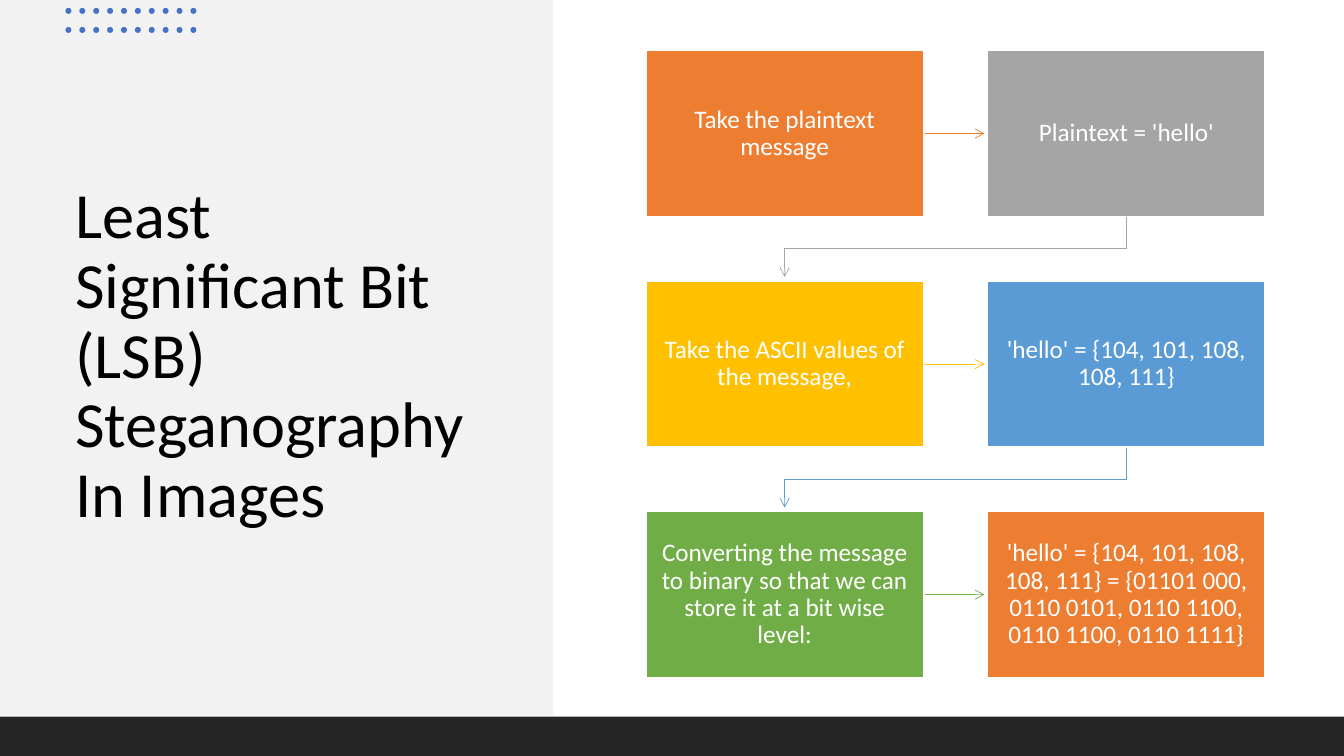
from lxml.etree import SubElement
from pptx import Presentation
from pptx.dml.color import RGBColor
from pptx.enum.shapes import MSO_CONNECTOR, MSO_SHAPE
from pptx.enum.text import MSO_ANCHOR, MSO_AUTO_SIZE, PP_ALIGN
from pptx.oxml.ns import qn
from pptx.util import Cm, Pt

FONT = "Calibri"
BLACK = RGBColor(0x00, 0x00, 0x00)
WHITE = RGBColor(0xFF, 0xFF, 0xFF)
PANEL = RGBColor(0xF2, 0xF2, 0xF2)
FOOTER = RGBColor(0x26, 0x26, 0x26)
DOT = RGBColor(0x44, 0x72, 0xC4)
ORANGE = RGBColor(0xED, 0x7D, 0x31)
GRAY = RGBColor(0xA5, 0xA5, 0xA5)
GOLD = RGBColor(0xFF, 0xC0, 0x00)
BLUE = RGBColor(0x5B, 0x9B, 0xD5)
GREEN = RGBColor(0x70, 0xAD, 0x47)

# Flow grid, in centimetres
LEFT, TOP = 16.28, 1.27
BOX_W, BOX_H = 6.99, 4.19
STEP_X, STEP_Y = 8.61, 5.81

STEPS = [
    ("Take the plaintext message", ORANGE),
    ("Plaintext = 'hello'", GRAY),
    ("Take the ASCII values of the message,", GOLD),
    ("'hello' = {104, 101, 108, 108, 111}", BLUE),
    ("Converting the message to binary so that we can store it "
     "at a bit wise level:", GREEN),
    ("'hello' = {104, 101, 108, 108, 111} = {01101 000, 0110 0101, "
     "0110 1100, 0110 1100, 0110 1111}", ORANGE),
]


def add_filled(shapes, kind, x, y, w, h, color):
    sp = shapes.add_shape(kind, Cm(x), Cm(y), Cm(w), Cm(h))
    sp.shadow.inherit = False
    sp.fill.solid()
    sp.fill.fore_color.rgb = color
    sp.line.fill.background()
    return sp


def write(tf, text, size, color, align, inset_x, inset_y):
    tf.word_wrap = True
    tf.auto_size = MSO_AUTO_SIZE.NONE
    tf.vertical_anchor = MSO_ANCHOR.MIDDLE
    tf.margin_left = tf.margin_right = Cm(inset_x)
    tf.margin_top = tf.margin_bottom = Cm(inset_y)
    p = tf.paragraphs[0]
    p.alignment = align
    p.line_spacing = 0.9
    r = p.add_run()
    r.text = text
    r.font.name = FONT
    r.font.size = Pt(size)
    r.font.color.rgb = color


def add_title(s, text):
    title = s.shapes.title
    title.left, title.top = Cm(1.65), Cm(3.35)
    title.width, title.height = Cm(10.77), Cm(11.3)
    write(title.text_frame, text, 46, BLACK, PP_ALIGN.LEFT, 0.25, 0.13)


def add_dots(s):
    group = s.shapes.add_group_shape()
    for row in range(2):
        for col in range(10):
            add_filled(group.shapes, MSO_SHAPE.OVAL, 1.65 + 0.35 * col,
                       0.2 + 0.48 * row, 0.15, 0.15, DOT)


def add_box(s, x, y, text, color):
    sp = add_filled(s.shapes, MSO_SHAPE.RECTANGLE, x, y, BOX_W, BOX_H, color)
    sp.line.color.rgb = WHITE
    sp.line.width = Pt(1)
    write(sp.text_frame, text, 18, WHITE, PP_ALIGN.CENTER, 0.33, 0.36)


def style_arrow(line, color):
    line.color.rgb = color
    line.width = Pt(0.5)
    SubElement(line._get_or_add_ln(), qn("a:tailEnd"), type="arrow")


def add_arrow_right(s, x, y, color):
    mid = Cm(y + BOX_H / 2)
    cn = s.shapes.add_connector(MSO_CONNECTOR.STRAIGHT, Cm(x + BOX_W + 0.03),
                                mid, Cm(x + STEP_X - 0.08), mid)
    style_arrow(cn.line, color)
    SubElement(cn._element.spPr, qn("a:effectLst"))


def add_arrow_to_next_row(s, x, y, color):
    start_x, start_y = x + BOX_W / 2, y + BOX_H
    end_x, turn_y = start_x - STEP_X, start_y + 0.81
    points = [(start_x, turn_y), (end_x, turn_y), (end_x, start_y + 1.52)]
    fb = s.shapes.build_freeform(Cm(start_x), Cm(start_y))
    fb.add_line_segments([(Cm(px), Cm(py)) for px, py in points], close=False)
    sp = fb.convert_to_shape()
    sp.shadow.inherit = False
    sp.fill.background()
    style_arrow(sp.line, color)


def add_flow(s):
    for i, (text, color) in enumerate(STEPS):
        row, col = divmod(i, 2)
        x, y = LEFT + STEP_X * col, TOP + STEP_Y * row
        if col == 0:
            add_arrow_right(s, x, y, color)
        elif i < len(STEPS) - 1:
            add_arrow_to_next_row(s, x, y, color)
        add_box(s, x, y, text, color)


def main():
    prs = Presentation()
    prs.slide_width, prs.slide_height = Cm(33.87), Cm(19.05)
    s = prs.slides.add_slide(prs.slide_layouts[5])

    # Left panel, placed behind the title
    panel = add_filled(s.shapes, MSO_SHAPE.RECTANGLE, 0, 0, 13.94, 18.03, PANEL)
    s.shapes.title._element.addprevious(panel._element)
    add_title(s, "Least Significant Bit (LSB) Steganography In Images")

    # Decoration
    add_dots(s)
    add_filled(s.shapes, MSO_SHAPE.RECTANGLE, 0, 18.06, 33.87, 0.99, FOOTER)

    # Process steps
    add_flow(s)
    prs.save("out.pptx")


if __name__ == "__main__":
    main()
